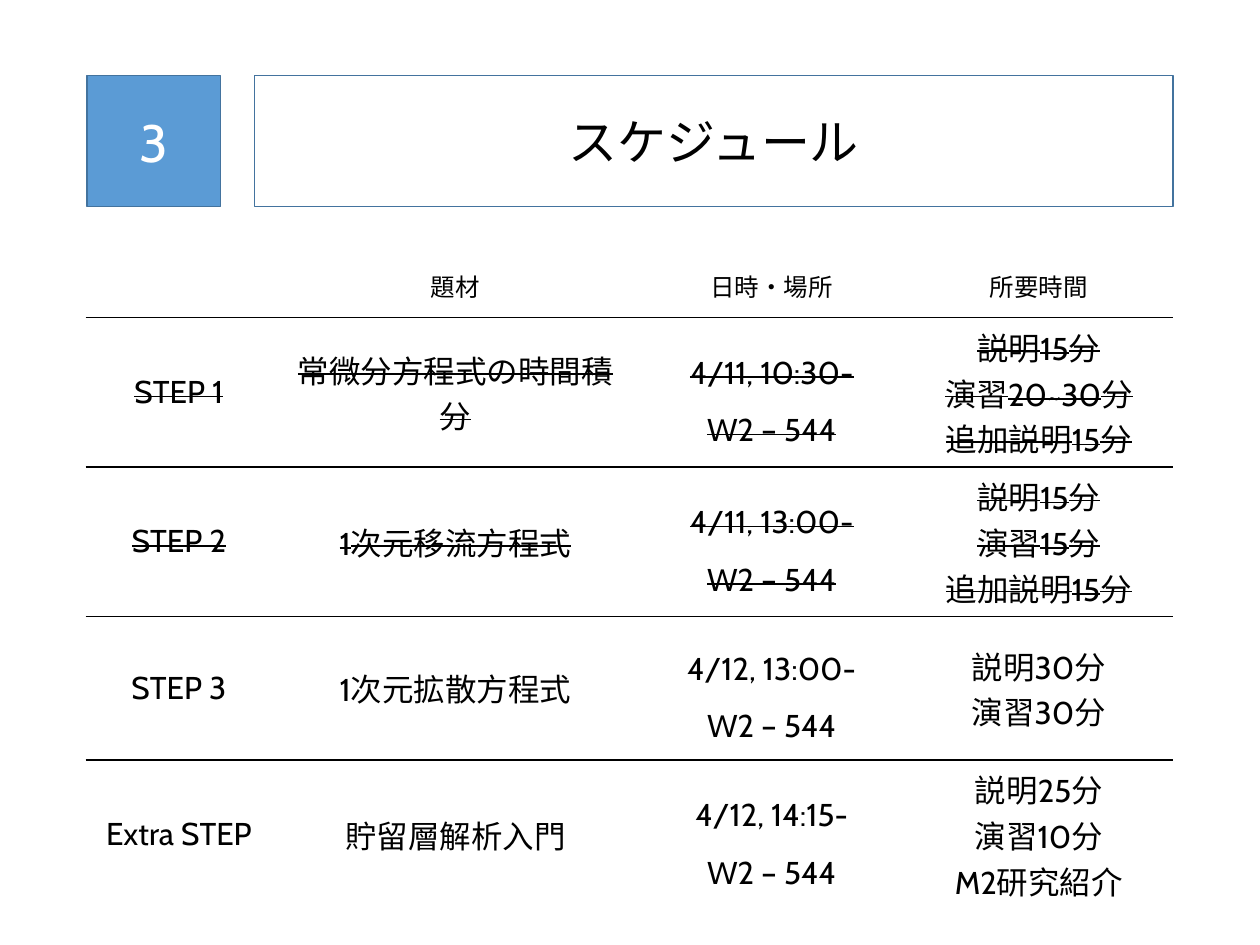
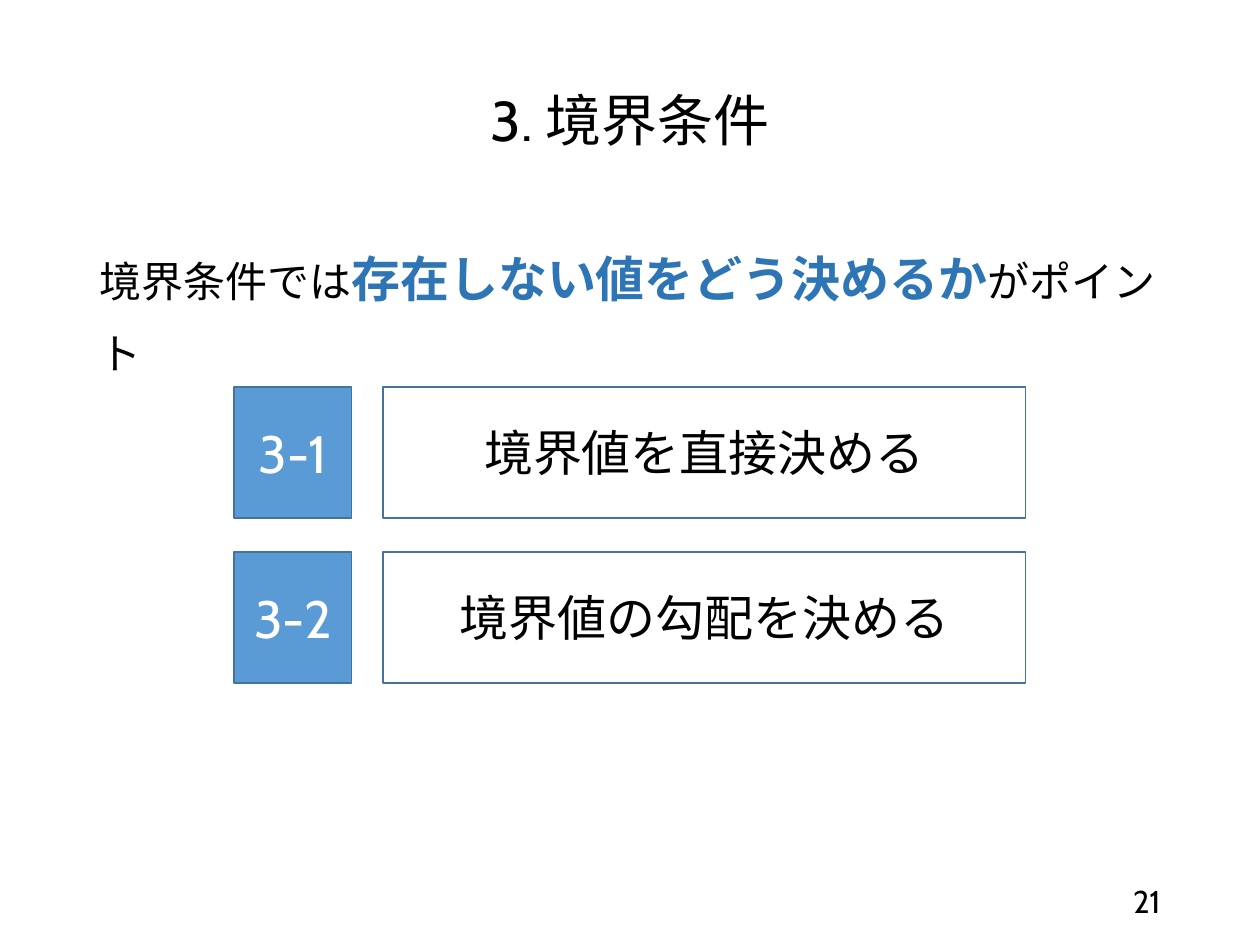
from lxml import etree
from pptx import Presentation
from pptx.dml.color import RGBColor
from pptx.enum.shapes import MSO_SHAPE
from pptx.enum.text import MSO_ANCHOR, PP_ALIGN
from pptx.oxml.ns import qn
from pptx.util import Inches, Pt

FONT = "Cabin"
BLACK = RGBColor(0x00, 0x00, 0x00)
WHITE = RGBColor(0xFF, 0xFF, 0xFF)
BLUE = RGBColor(0x5B, 0x9B, 0xD5)
OUTLINE = RGBColor(0x43, 0x73, 0x9E)
EMPHASIS = RGBColor(0x2E, 0x75, 0xB6)

NO_TABLE_STYLE = "{2D5ABB26-0587-4C30-8999-92F81FD0307C}"
MARGIN = 0.69
CONTENT_WIDTH = 8.62
HEADING_HEIGHT = 1.04

HEADINGS = ["", "題材", "日時・場所", "所要時間"]
COLUMN_WIDTHS = [1.48, 2.91, 2.11, 2.13]
ROW_HEIGHTS = [0.5] + [1.14] * 4
PLACE = "W2 – 544"
STEPS = [
    ("STEP 1", "常微分方程式の時間積分", "4/11, 10:30-",
     ["説明15分", "演習20~30分", "追加説明15分"], True),
    ("STEP 2", "1次元移流方程式", "4/11, 13:00-",
     ["説明15分", "演習15分", "追加説明15分"], True),
    ("STEP 3", "1次元拡散方程式", "4/12, 13:00-",
     ["説明30分", "演習30分"], False),
    ("Extra STEP", "貯留層解析入門", "4/12, 14:15-",
     ["説明25分", "演習10分", "M2研究紹介"], False),
]


def style_font(font, size, color=BLACK, bold=None):
    font.name = FONT
    font.size = Pt(size)
    font.bold = bold
    font.color.rgb = color


def write_line(paragraph, text, size, color=BLACK, align=PP_ALIGN.CENTER):
    paragraph.text = text
    paragraph.alignment = align
    style_font(paragraph.font, size, color)


def add_box(slide, left, top, width, text, size, color, fill=None):
    box = slide.shapes.add_shape(
        MSO_SHAPE.RECTANGLE, Inches(left), Inches(top),
        Inches(width), Inches(HEADING_HEIGHT))
    box.shadow.inherit = False
    box.line.color.rgb = OUTLINE
    box.line.width = Pt(1)
    if fill is None:
        box.fill.background()
    else:
        box.fill.solid()
        box.fill.fore_color.rgb = fill
    box.text_frame.vertical_anchor = MSO_ANCHOR.MIDDLE
    write_line(box.text_frame.paragraphs[0], text, size, color)


def add_numbered_heading(slide, left, top, width, number_width, gap, number, heading):
    add_box(slide, left, top, number_width, number, 30, WHITE, BLUE)
    offset = number_width + gap
    add_box(slide, left + offset, top, width - offset, heading, 28, BLACK)


def add_text_frame(slide, left, top, width, height, anchor=MSO_ANCHOR.TOP):
    frame = slide.shapes.add_textbox(
        Inches(left), Inches(top), Inches(width), Inches(height)).text_frame
    frame.word_wrap = True
    frame.vertical_anchor = anchor
    return frame


def draw_rule(cell, side):
    rule = etree.Element(qn(f"a:{side}"), w=str(Pt(1)))
    solid = etree.SubElement(rule, qn("a:solidFill"))
    etree.SubElement(solid, qn("a:srgbClr"), val=str(BLACK))
    cell._tc.get_or_add_tcPr().insert(0, rule)


def fill_cell(cell, lines, size, spacing=None, struck=False):
    cell.vertical_anchor = MSO_ANCHOR.MIDDLE
    cell.fill.background()
    cell.text = "\n".join(lines)
    for paragraph, line in zip(cell.text_frame.paragraphs, lines):
        write_line(paragraph, line, size)
        paragraph.line_spacing = spacing
        if struck:
            for run in paragraph.runs:
                run._r.get_or_add_rPr().set("strike", "sngStrike")


def add_schedule(slide, left, top):
    table = slide.shapes.add_table(
        len(ROW_HEIGHTS), len(COLUMN_WIDTHS), Inches(left), Inches(top),
        Inches(sum(COLUMN_WIDTHS)), Inches(sum(ROW_HEIGHTS))).table
    table.first_row = table.horz_banding = False
    table._tbl.tblPr.find(qn("a:tableStyleId")).text = NO_TABLE_STYLE
    for column, width in zip(table.columns, COLUMN_WIDTHS):
        column.width = Inches(width)
    for row, height in zip(table.rows, ROW_HEIGHTS):
        row.height = Inches(height)

    for cell, heading in zip(table.rows[0].cells, HEADINGS):
        fill_cell(cell, [heading], 14)
    for index, (step, topic, time, durations, done) in enumerate(STEPS, 1):
        columns = [([step], None), ([topic], None),
                   ([time, PLACE], 1.5), (durations, None)]
        for cell, (lines, spacing) in zip(table.rows[index].cells, columns):
            fill_cell(cell, lines, 18, spacing, done)

    last = len(ROW_HEIGHTS) - 1
    for index, row in enumerate(table.rows):
        for cell in row.cells:
            if index < last:
                draw_rule(cell, "lnB")
            if index > 0:
                draw_rule(cell, "lnT")


def add_title(slide, left, top, text):
    frame = add_text_frame(slide, left, top, CONTENT_WIDTH, 1.15, MSO_ANCHOR.MIDDLE)
    title = frame.paragraphs[0]
    write_line(title, text, 32)
    title.line_spacing = 0.9


def add_key_point(slide, left, top):
    point = add_text_frame(slide, left, top, CONTENT_WIDTH, 5.01).paragraphs[0]
    point.line_spacing = 1.4
    point.space_before = Pt(10)
    for text, size, color, bold in [
        ("境界条件では", 24, BLACK, False),
        ("存在しない値をどう決めるか", 28, EMPHASIS, True),
        ("がポイント", 24, BLACK, False),
    ]:
        run = point.add_run()
        run.text = text
        style_font(run.font, size, color, bold)


def add_page_number(slide, left, top, number):
    frame = add_text_frame(slide, left, top, 2.25, 0.4)
    write_line(frame.paragraphs[0], number, 18, align=PP_ALIGN.RIGHT)


def build_schedule_slide(slide):
    add_numbered_heading(slide, MARGIN, 0.6, CONTENT_WIDTH, 1.06, 0.27,
                         "3", "スケジュール")
    add_schedule(slide, 0.68, 2.02)


def build_boundary_slide(slide):
    add_title(slide, MARGIN, 0.4, "3. 境界条件")
    add_key_point(slide, MARGIN, 1.74)
    add_page_number(slide, 7.06, 6.95, "21")
    for index, method in enumerate(["境界値を直接決める", "境界値の勾配を決める"]):
        add_numbered_heading(slide, 1.86, 3.07 + index * 1.31, 6.28, 0.93, 0.25,
                             f"3-{index + 1}", method)


def main():
    deck = Presentation()
    deck.slide_width = Inches(10)
    deck.slide_height = Inches(7.5)
    blank = deck.slide_layouts[6]
    for build in (build_schedule_slide, build_boundary_slide):
        build(deck.slides.add_slide(blank))
    deck.save("out.pptx")


if __name__ == "__main__":
    main()
